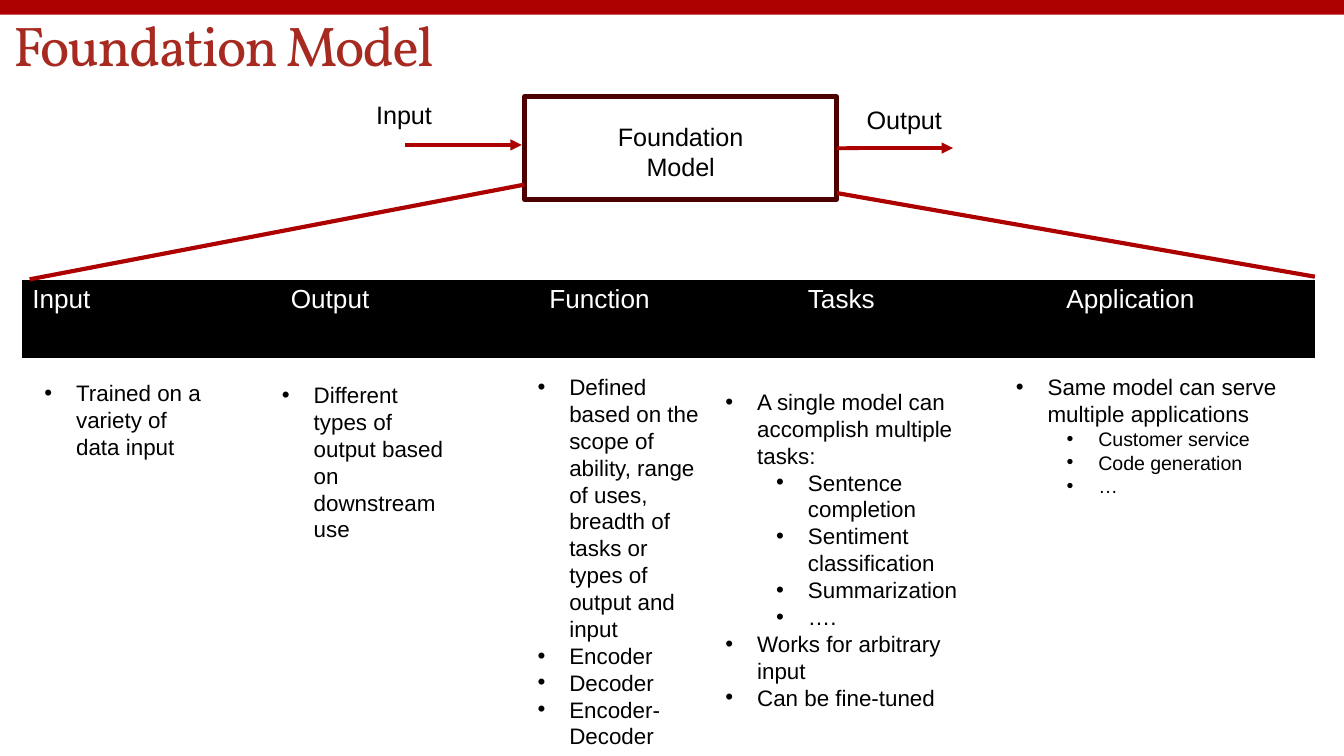
from lxml.etree import SubElement
from pptx import Presentation
from pptx.dml.color import RGBColor
from pptx.enum.shapes import MSO_CONNECTOR as Connector, MSO_SHAPE as Shape
from pptx.enum.text import MSO_ANCHOR as Anchor, PP_ALIGN as Align
from pptx.oxml.ns import qn
from pptx.util import Cm, Pt

RED, MAROON, RUST = "AD0101", "4C0000", "A72A21"
BLACK, WHITE = "000000", "FFFFFF"
PLAIN_TABLE = "{2D5ABB26-0587-4C30-8999-92F81FD0307C}"  # no style, no grid
RIGHT_SIDE = 3
HANGING = 0.6
MARGINS = (0.6, 1.56)  # text margin of each bullet level


def color(hex_text):
    return RGBColor.from_string(hex_text)


def write(para, text, size=13.5, ink=BLACK, font="Arial", align=Align.LEFT,
          tracking=None):
    para.alignment = align
    span = para.add_run()
    span.text = text
    span.font.name, span.font.size = font, Pt(size)
    span.font.color.rgb = color(ink)
    if tracking is not None:
        span.font._element.set("spc", str(tracking))


def add_bullet(para, level):
    para.level = level
    props = para._p.get_or_add_pPr()
    props.set("marL", str(Cm(MARGINS[level])))
    props.set("indent", str(-Cm(HANGING)))
    SubElement(props, qn("a:buFont")).set("typeface", "Arial")
    SubElement(props, qn("a:buChar")).set("char", "•")


class SlideBuilder:
    line_color = RED

    def __init__(self, page):
        self.page = page

    def rectangle(self, left, top, width, height, fill=None, line=None, weight=2.5):
        box = self.page.shapes.add_shape(
            Shape.RECTANGLE, Cm(left), Cm(top), Cm(width), Cm(height))
        box.shadow.inherit = False
        if fill:
            box.fill.solid()
            box.fill.fore_color.rgb = color(fill)
        else:
            box.fill.background()
        if line:
            box.line.color.rgb = color(line)
            box.line.width = Pt(weight)
            SubElement(box.line._get_or_add_ln(), qn("a:round"))
        else:
            box.line.fill.background()
        return box

    def text_frame(self, left, top, width, height, anchor=Anchor.TOP):
        box = self.page.shapes.add_textbox(Cm(left), Cm(top), Cm(width), Cm(height))
        frame = box.text_frame
        frame.word_wrap = True
        frame.vertical_anchor = anchor
        return frame

    def label(self, text, left, top, width, height, anchor=Anchor.TOP, **style):
        frame = self.text_frame(left, top, width, height, anchor)
        write(frame.paragraphs[0], text, **style)

    def bullets(self, items, left, top, width, height):
        frame = self.text_frame(left, top, width, height)
        for index, (level, text, size) in enumerate(items):
            para = frame.add_paragraph() if index else frame.paragraphs[0]
            write(para, text, size=size)
            add_bullet(para, level)

    def line(self, start, end, weight=2.25, arrow=False):
        link = self.page.shapes.add_connector(
            Connector.STRAIGHT, *(Cm(value) for value in start + end))
        link.line.color.rgb = color(self.line_color)
        link.line.width = Pt(weight)
        if arrow:
            SubElement(link.line._get_or_add_ln(), qn("a:tailEnd")).set("type", "triangle")
        SubElement(link._element.spPr, qn("a:effectLst"))
        return link

    def header_table(self, titles, left, top, width, height):
        table = self.page.shapes.add_table(
            1, len(titles), Cm(left), Cm(top), Cm(width), Cm(height)).table
        table.first_row = table.horz_banding = False
        table._tbl.tblPr.find(qn("a:tableStyleId")).text = PLAIN_TABLE
        for cell, title in zip(table.rows[0].cells, titles):
            cell.fill.solid()
            cell.fill.fore_color.rgb = color(BLACK)
            cell.margin_left = cell.margin_right = Cm(0.19)
            cell.margin_top = cell.margin_bottom = Cm(0.1)
            write(cell.text_frame.paragraphs[0], title, size=14, ink=WHITE)


def main():
    deck = Presentation()
    deck.slide_width, deck.slide_height = Cm(25.4), Cm(14.29)
    builder = SlideBuilder(deck.slides.add_slide(deck.slide_layouts[6]))

    # Top band and title
    builder.rectangle(0, 0, 25.4, 0.28, fill=RED)
    builder.label("Foundation Model", 0, 0.06, 21.9, 1.55, anchor=Anchor.MIDDLE,
                  size=30, ink=RUST, font="Vollkorn", tracking=-100)

    # Model box with its input and output
    model = builder.rectangle(9.91, 1.83, 5.9, 1.94, line=MAROON)
    builder.line((7.66, 2.74), (9.86, 2.74), weight=2, arrow=True)
    output = builder.line((15.81, 2.8), (18.01, 2.8), weight=2, arrow=True)
    output.begin_connect(model, RIGHT_SIDE)
    builder.label("Input", 6.86, 1.75, 1.91, 0.84)
    builder.label("Output", 16.13, 1.85, 2.51, 0.84)
    builder.label("Foundation Model", 10.92, 2.16, 3.89, 1.42, align=Align.CENTER)

    # Column headings
    builder.header_table(["Input", "Output", "Function", "Tasks", "Application"],
                         0.42, 5.29, 24.43, 1.48)

    # Bullets under each heading: (level, text, size)
    columns = [
        ((0.59, 7.04, 3.56, 1.8), [(0, "Trained on a variety of data input", 12)]),
        ((5.08, 7.08, 3.56, 3.33),
         [(0, "Different types of output based on downstream use", 12)]),
        ((9.91, 6.93, 3.56, 7.44), [
            (0, "Defined based on the scope of ability, range of uses, "
                "breadth of tasks or types of output and input", 12),
            (0, "Encoder", 12),
            (0, "Decoder", 12),
            (0, "Encoder-Decoder", 12)]),
        ((13.46, 7.21, 5.18, 6.4), [
            (0, "A single model can accomplish multiple tasks:", 12),
            (1, "Sentence completion", 12),
            (1, "Sentiment classification", 12),
            (1, "Summarization", 12),
            (1, "….", 12),
            (0, "Works for arbitrary input", 12),
            (0, "Can be fine-tuned", 12)]),
        ((18.95, 6.93, 6.38, 2.64), [
            (0, "Same model can serve multiple applications", 12),
            (1, "Customer service", 10.5),
            (1, "Code generation", 10.5),
            (1, "…", 10.5)]),
    ]
    for area, items in columns:
        builder.bullets(items, *area)

    # Lines fanning out from the model to the table
    builder.line((9.91, 3.49), (0.56, 5.28))
    builder.line((15.82, 3.65), (24.85, 5.23))

    deck.save("out.pptx")


if __name__ == "__main__":
    main()
